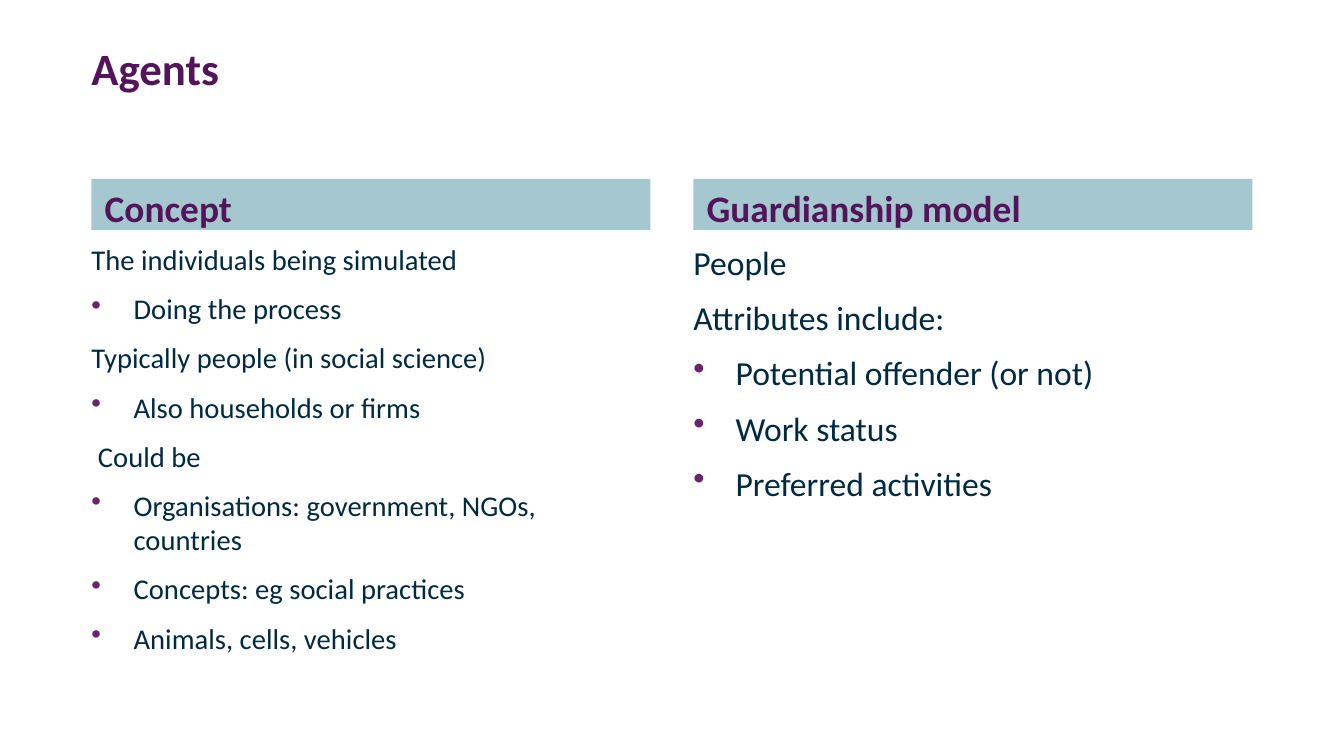
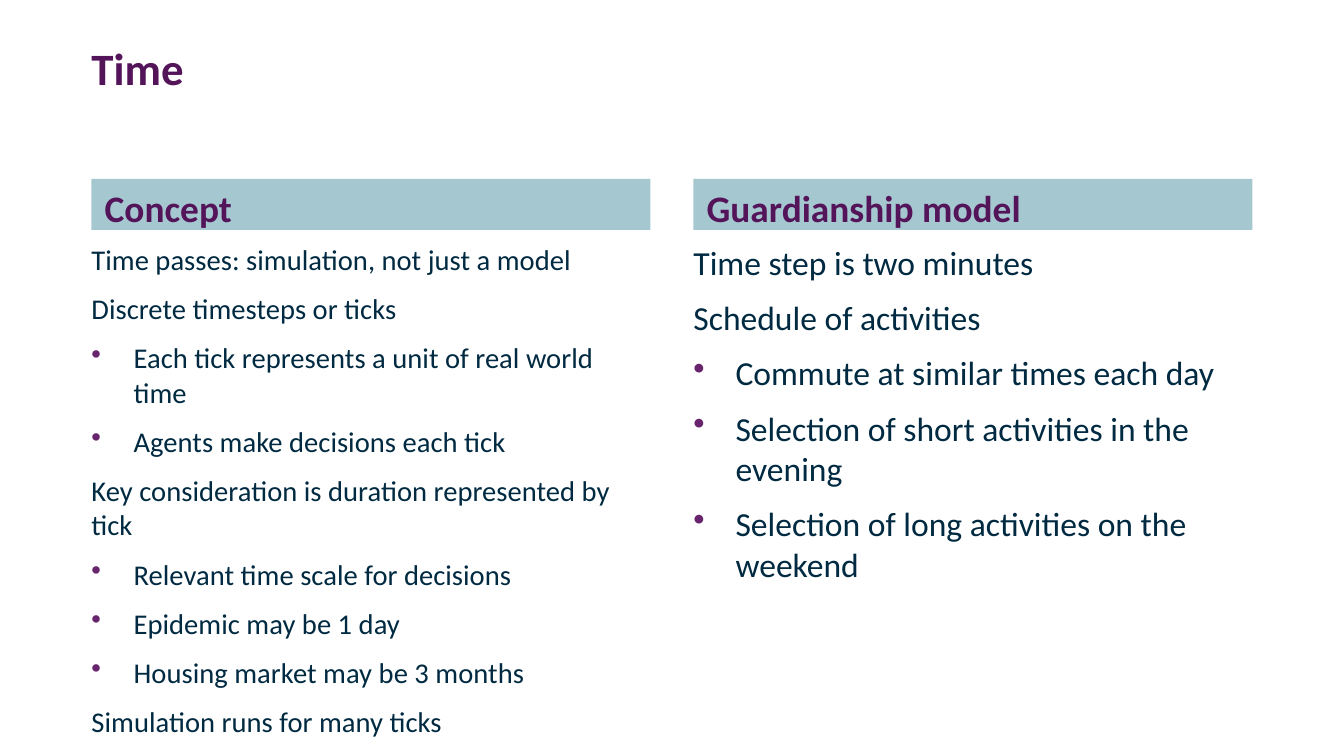
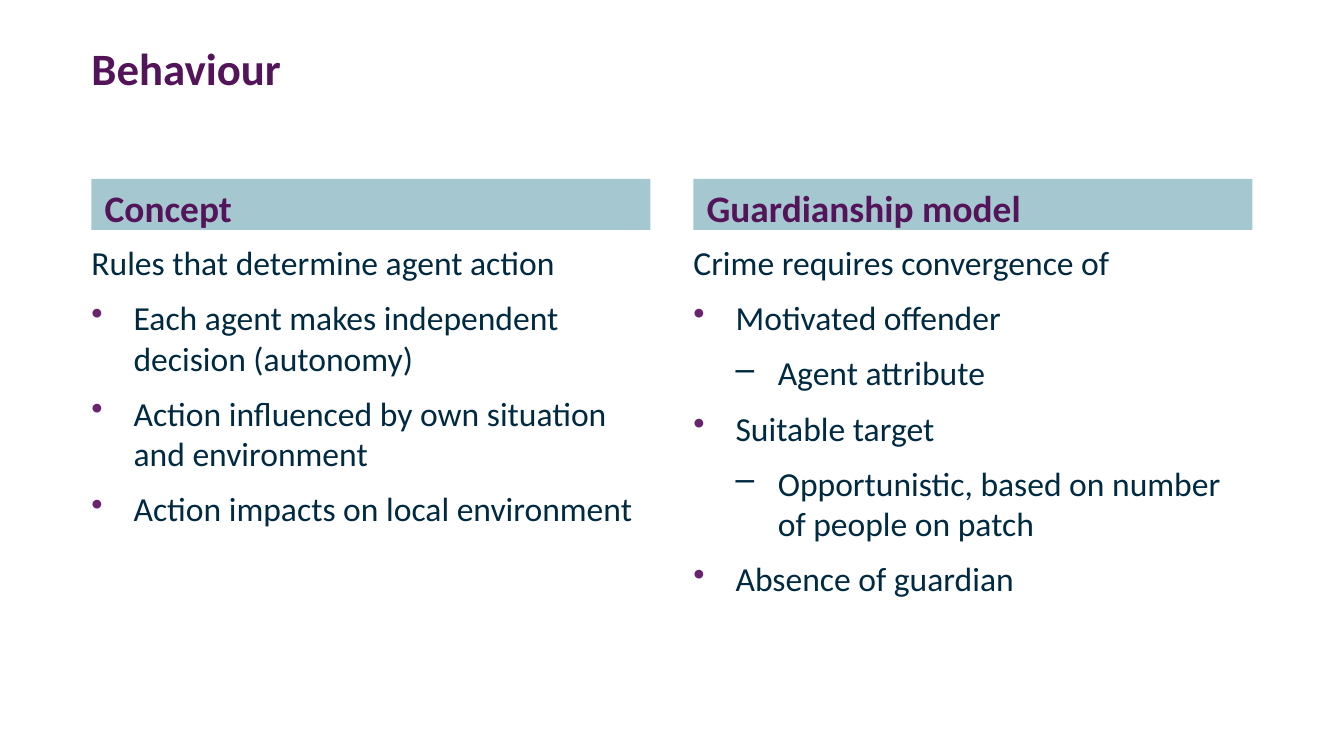
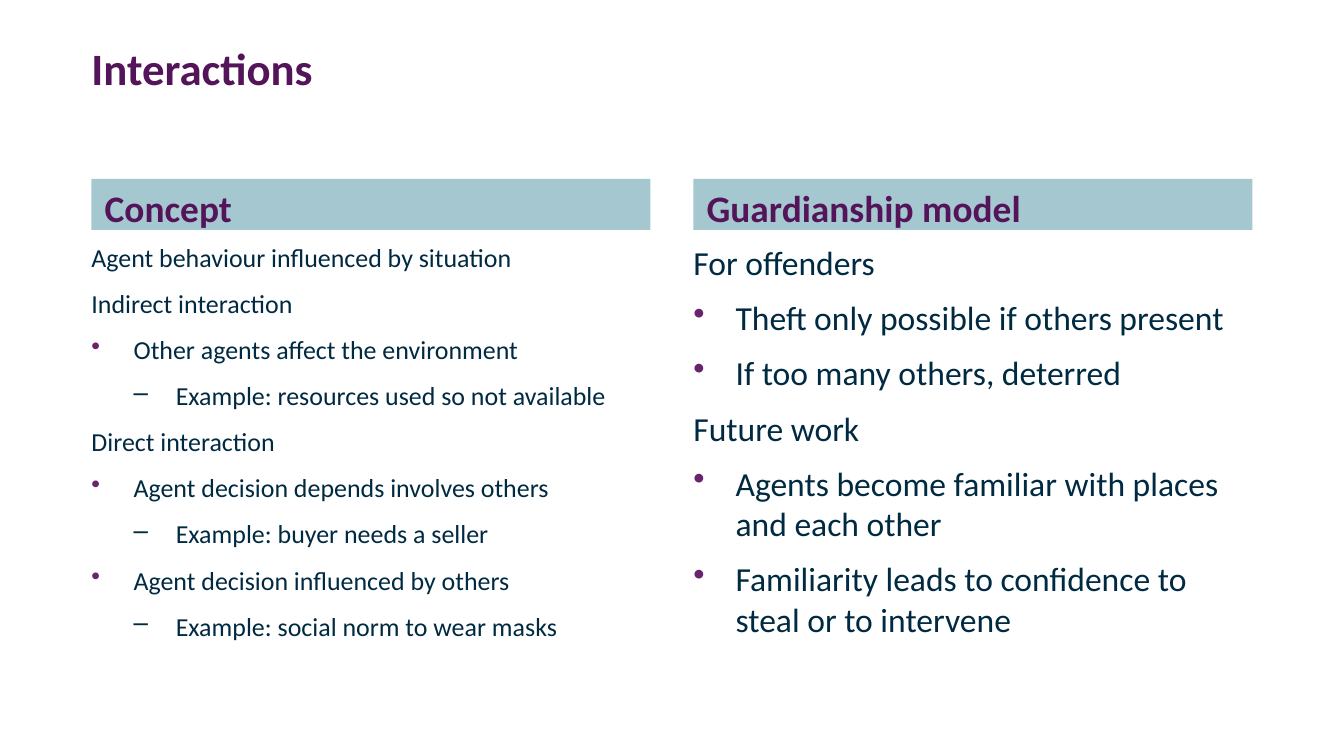
from lxml.etree import SubElement
from pptx import Presentation
from pptx.dml.color import RGBColor as Rgb
from pptx.enum.shapes import MSO_SHAPE as Shape
from pptx.enum.text import MSO_ANCHOR as Anchor, PP_ALIGN as Align
from pptx.oxml.ns import qn
from pptx.util import Pt

FONT = "Calibri"
COLOURS = {"heading": "54145A", "body": "002A41", "bullet": "68246D", "band": "A5C8D0"}

MARGIN, CONTENT_WIDTH, COLUMN_GAP = 49, 622, 23
COLUMN_WIDTH = (CONTENT_WIDTH - COLUMN_GAP) / 2
TITLE_BOX = (MARGIN, 21.6, CONTENT_WIDTH, 67.7)
COLUMN_TOP, COLUMN_HEIGHT = 95.8, 230.4
BAND_HEIGHT, BODY_OFFSET = 27.4, 33.8
PARAGRAPH_GAP = 8
INDENT = 22.6
HEADINGS = ("Concept", "Guardianship model")

PLAIN, NUDGED, BULLET, DASH = "plain", "nudged", "bullet", "dash"
LEVELS = {
    PLAIN: (0, 0, None, None),
    NUDGED: (3.5, 0, None, None),
    BULLET: (INDENT, -INDENT, "•", "bullet"),
    DASH: (2 * INDENT, -INDENT, "–", "body"),
}

SLIDES = [
    ("Agents", [
        (15.3, [
            (PLAIN, "The individuals being simulated"),
            (BULLET, "Doing the process"),
            (PLAIN, "Typically people (in social science)"),
            (BULLET, "Also households or firms"),
            (NUDGED, "Could be"),
            (BULLET, "Organisations: government, NGOs, countries"),
            (BULLET, "Concepts: eg social practices"),
            (BULLET, "Animals, cells, vehicles"),
        ]),
        (18, [
            (PLAIN, "People"),
            (PLAIN, "Attributes include:"),
            (BULLET, "Potential offender (or not)"),
            (BULLET, "Work status"),
            (BULLET, "Preferred activities"),
        ]),
    ]),
    ("Time", [
        (15.3, [
            (PLAIN, "Time passes: simulation, not just a model"),
            (PLAIN, "Discrete timesteps or ticks"),
            (BULLET, "Each tick represents a unit of real world time"),
            (BULLET, "Agents make decisions each tick"),
            (PLAIN, "Key consideration is duration represented by tick"),
            (BULLET, "Relevant time scale for decisions"),
            (BULLET, "Epidemic may be 1 day"),
            (BULLET, "Housing market may be 3 months"),
            (PLAIN, "Simulation runs for many ticks"),
        ]),
        (18, [
            (PLAIN, "Time step is two minutes"),
            (PLAIN, "Schedule of activities"),
            (BULLET, "Commute at similar times each day"),
            (BULLET, "Selection of short activities in the evening"),
            (BULLET, "Selection of long activities on the weekend"),
        ]),
    ]),
    ("Behaviour", [
        (18, [
            (PLAIN, "Rules that determine agent action"),
            (BULLET, "Each agent makes independent decision (autonomy)"),
            (BULLET, "Action influenced by own situation and environment"),
            (BULLET, "Action impacts on local environment"),
        ]),
        (18, [
            (PLAIN, "Crime requires convergence of"),
            (BULLET, "Motivated offender"),
            (DASH, "Agent attribute"),
            (BULLET, "Suitable target"),
            (DASH, "Opportunistic, based on number of people on patch"),
            (BULLET, "Absence of guardian"),
        ]),
    ]),
    ("Interactions", [
        (13.9, [
            (PLAIN, "Agent behaviour influenced by situation"),
            (PLAIN, "Indirect interaction"),
            (BULLET, "Other agents affect the environment"),
            (DASH, "Example: resources used so not available"),
            (PLAIN, "Direct interaction"),
            (BULLET, "Agent decision depends involves others"),
            (DASH, "Example: buyer needs a seller"),
            (BULLET, "Agent decision influenced by others"),
            (DASH, "Example: social norm to wear masks"),
        ]),
        (18, [
            (PLAIN, "For offenders"),
            (BULLET, "Theft only possible if others present"),
            (BULLET, "If too many others, deterred"),
            (PLAIN, "Future work"),
            (BULLET, "Agents become familiar with places and each other"),
            (BULLET, "Familiarity leads to confidence to steal or to intervene"),
        ]),
    ]),
]


def style_spans(para, size, colour, bold=False):
    """Format every run of a paragraph."""
    for span in para.runs:
        span.font.name = FONT
        span.font.size = Pt(size)
        span.font.bold = bold
        span.font.color.rgb = Rgb.from_string(COLOURS[colour])


def add_text_box(page, box):
    """Add a wrapping text box without insets and return its text frame."""
    frame = page.shapes.add_textbox(*map(Pt, box)).text_frame
    frame.word_wrap = True
    frame.margin_left = frame.margin_right = frame.margin_top = frame.margin_bottom = 0
    return frame


def set_level(para, level):
    """Give a paragraph the indent and bullet of its level."""
    margin, hanging, mark, colour = LEVELS[level]
    properties = para._p.get_or_add_pPr()
    properties.set("marL", str(Pt(margin)))
    properties.set("indent", str(Pt(hanging)))
    if mark:
        bullet_colour = SubElement(properties, qn("a:buClr"))
        SubElement(bullet_colour, qn("a:srgbClr"), val=COLOURS[colour])
        SubElement(properties, qn("a:buChar"), char=mark)


def add_title(page, box, text):
    """Write the slide title."""
    frame = add_text_box(page, box)
    frame.text = text
    style_spans(frame.paragraphs[0], 24, "heading", bold=True)


def add_band(page, box, text):
    """Draw a coloured band with a column heading."""
    band = page.shapes.add_shape(Shape.RECTANGLE, *map(Pt, box))
    band.shadow.inherit = False
    band.fill.solid()
    band.fill.fore_color.rgb = Rgb.from_string(COLOURS["band"])
    band.line.fill.background()
    frame = band.text_frame
    frame.word_wrap = True
    frame.vertical_anchor = Anchor.TOP
    frame.text = text
    para = frame.paragraphs[0]
    para.alignment = Align.LEFT
    style_spans(para, 20, "heading", bold=True)


def add_body(page, box, size, items):
    """Write the levelled paragraphs of a column."""
    frame = add_text_box(page, box)
    for index, (level, text) in enumerate(items):
        para = frame.add_paragraph() if index else frame.paragraphs[0]
        para.text = text
        if index:
            para.space_before = Pt(PARAGRAPH_GAP)
        set_level(para, level)
        style_spans(para, size, "body")


def add_column(page, box, heading, size, items):
    """Place a heading band and the text below it."""
    left, top, width, height = box
    add_band(page, (left, top, width, BAND_HEIGHT), heading)
    body_box = (left, top + BODY_OFFSET, width, height - BODY_OFFSET)
    add_body(page, body_box, size, items)


def add_comparison(deck, title, columns):
    """Add a slide with a title and two columns."""
    page = deck.slides.add_slide(deck.slide_layouts[6])
    add_title(page, TITLE_BOX, title)
    for index, (heading, (size, items)) in enumerate(zip(HEADINGS, columns)):
        left = MARGIN + index * (COLUMN_WIDTH + COLUMN_GAP)
        box = (left, COLUMN_TOP, COLUMN_WIDTH, COLUMN_HEIGHT)
        add_column(page, box, heading, size, items)


def main():
    """Build and save the deck."""
    deck = Presentation()
    deck.slide_width, deck.slide_height = Pt(720), Pt(405)
    for title, columns in SLIDES:
        add_comparison(deck, title, columns)
    deck.save("out.pptx")


if __name__ == "__main__":
    main()
